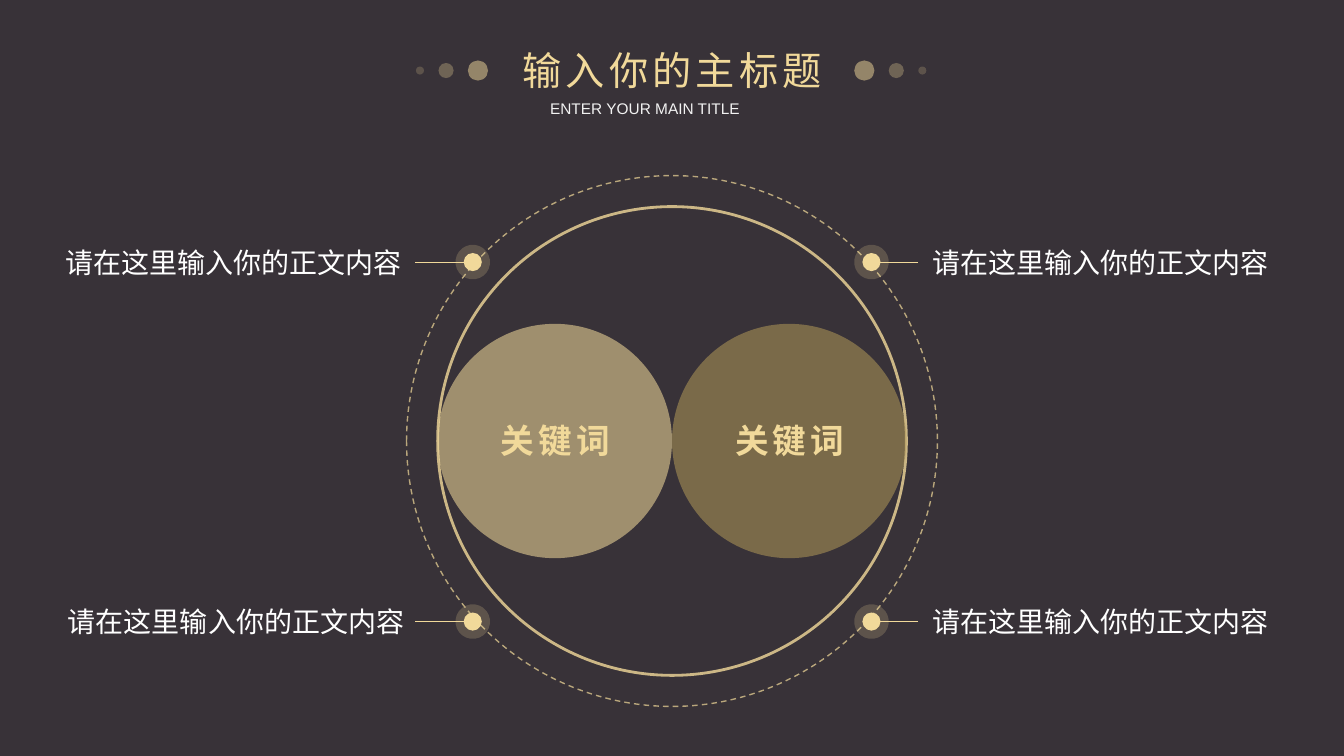
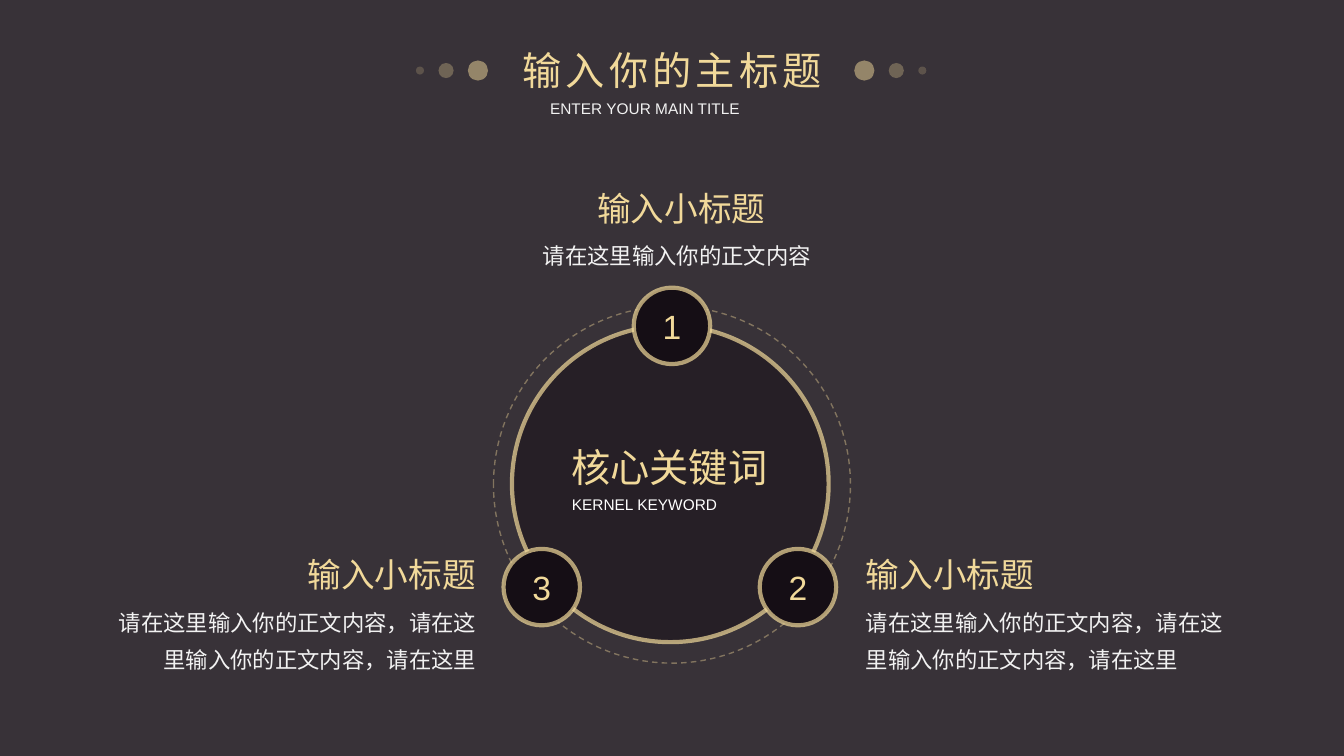
from dataclasses import dataclass

from lxml.etree import SubElement
from pptx import Presentation
from pptx.dml.color import RGBColor
from pptx.dml.fill import FillFormat
from pptx.enum.dml import MSO_LINE
from pptx.enum.shapes import MSO_CONNECTOR, MSO_SHAPE
from pptx.enum.text import MSO_ANCHOR, MSO_AUTO_SIZE, PP_ALIGN
from pptx.oxml.ns import qn
from pptx.shapes.autoshape import Shape
from pptx.slide import Slide
from pptx.text.text import TextFrame
from pptx.util import Emu, Inches, Pt

COLUMNS = 160  # square grid cells: 160 across, 90 down
WIDTH, HEIGHT = Inches(13.333), Inches(7.5)
MIDDLE = COLUMNS / 2

GOLD, BRONZE = "F1D99A", "AF9758"
INK, BACKDROP = "150E15", "383238"
WHITE, PALE = "FFFFFF", "F2F2F2"
CJK, LATIN = "Noto Sans CJK SC", "Arial"
BODY = "请在这里输入你的正文内容"


@dataclass(frozen=True)
class TextStyle:
    size: float
    colour: str = GOLD
    font: str = CJK
    bold: bool = False
    align: PP_ALIGN = PP_ALIGN.LEFT
    spacing: float = 0
    leading: float = 1.0
    shaded: bool = False


@dataclass(frozen=True)
class Stroke:
    width: float
    alpha: int = 100
    dashed: bool = False


@dataclass(frozen=True)
class Dot:
    offset: float
    size: float
    alpha: int


@dataclass(frozen=True)
class Callout:
    node: tuple[float, float]
    leader: tuple[float, float]
    text_left: float


@dataclass(frozen=True)
class Caption:
    align: PP_ALIGN
    head_left: float
    body_left: float
    row: float
    body: str
    lines: int


TITLE = TextStyle(28, align=PP_ALIGN.CENTER, spacing=3, shaded=True)
SUBTITLE = TextStyle(11, PALE, LATIN, align=PP_ALIGN.JUSTIFY)
DOTS = [Dot(23, 2.4, 50), Dot(26.8, 1.8, 30), Dot(29.9, 0.96, 20)]


def cells(n: float) -> Emu:
    return Emu(round(n * WIDTH / COLUMNS))


def paint(fill: FillFormat, colour: str, alpha: int = 100) -> None:
    fill.solid()
    fill.fore_color.rgb = RGBColor.from_string(colour)
    if alpha < 100:
        srgb = fill._xPr.find(qn("a:solidFill")).find(qn("a:srgbClr"))
        SubElement(srgb, qn("a:alpha")).set("val", str(alpha * 1000))


def shade(fill: FillFormat) -> None:
    """Fill from gold at the top to bronze at the bottom."""
    fill.gradient()
    fill.gradient_angle = 270
    for stop, colour in zip(fill.gradient_stops, (GOLD, BRONZE)):
        stop.color.rgb = RGBColor.from_string(colour)


def write(tf: TextFrame, text: str, style: TextStyle) -> None:
    p = tf.paragraphs[0]
    p.alignment, p.line_spacing = style.align, style.leading
    r = p.add_run()
    r.text = text
    if style.shaded:
        shade(r.font.fill)
    else:
        paint(r.font.fill, style.colour)
    formats = {"size": Pt(style.size), "name": style.font, "bold": style.bold}
    for name, value in formats.items():
        setattr(r.font, name, value)
    rPr = r.font._element
    SubElement(rPr, qn("a:ea")).set("typeface", style.font)
    if style.spacing:
        rPr.set("spc", str(round(style.spacing * 100)))


def add_text(s: Slide, box: tuple[float, float, float, float], text: str,
             style: TextStyle, wrap: bool = True) -> None:
    tf = s.shapes.add_textbox(*map(cells, box)).text_frame
    tf.word_wrap = wrap
    tf.auto_size = MSO_AUTO_SIZE.SHAPE_TO_FIT_TEXT
    write(tf, text, style)


def add_circle(s: Slide, col: float, row: float, size: float, fill: str | None = None,
               alpha: int = 100, stroke: Stroke | None = None) -> Shape:
    """Draw a circle around the grid point (col, row)."""
    box = (col - size / 2, row - size / 2, size, size)
    sp = s.shapes.add_shape(MSO_SHAPE.OVAL, *map(cells, box))
    sp.shadow.inherit = False
    if fill:
        paint(sp.fill, fill, alpha)
    else:
        sp.fill.background()
    if stroke:
        paint(sp.line.fill, GOLD, stroke.alpha)
        sp.line.width = Pt(stroke.width)
        if stroke.dashed:
            sp.line.dash_style = MSO_LINE.DASH
    else:
        sp.line.fill.background()
    return sp


def add_leader(s: Slide, start: float, end: float, row: float) -> None:
    line = s.shapes.add_connector(MSO_CONNECTOR.STRAIGHT, *map(cells, (start, row, end, row)))
    paint(line.line.fill, GOLD)
    line.line.width = Pt(0.5)
    SubElement(line._element.spPr, qn("a:effectLst"))


def add_header(s: Slide) -> None:
    add_text(s, (58.1, 4.9, 43.8, 6.8), "输入你的主标题", TITLE)
    add_text(s, (64.3, 11.2, 31.4, 3.5), "ENTER YOUR MAIN TITLE", SUBTITLE)
    for side in (-1, 1):
        for dot in DOTS:
            add_circle(s, MIDDLE - 0.1 + side * dot.offset, 8.4, dot.size, GOLD, dot.alpha)


def build_keywords(s: Slide) -> None:
    centre, ring = 52.5, 55.8
    add_circle(s, MIDDLE, centre, ring, stroke=Stroke(2, 80))
    keyword = TextStyle(24, bold=True, align=PP_ALIGN.CENTER, spacing=3, shaded=True)
    for side, colour in ((-1, GOLD), (1, BRONZE)):
        col = MIDDLE + side * ring / 4
        add_circle(s, col, centre, ring / 2, colour, 56)
        add_text(s, (col - 10.8, 49.4, 21.7, 6), "关键词", keyword)
    add_circle(s, MIDDLE, centre, 63.2, stroke=Stroke(1, 70, dashed=True))

    left, right, top, bottom = 56.28, 103.75, 31.2, 74
    callouts = [
        Callout((left, top), (55.2, 49.4), 6.6),
        Callout((right, top), (109.3, 103.4), 109.8),
        Callout((left, bottom), (55.2, 49.4), 6.9),
        Callout((right, bottom), (109.3, 103.4), 109.8),
    ]
    for c in callouts:
        row = c.node[1]
        add_circle(s, *c.node, 2.16, GOLD, stroke=Stroke(12, 20))
        add_leader(s, *c.leader, row)
        add_text(s, (c.text_left, row - 2.6, 42.9, 5.3), BODY, TextStyle(20, WHITE), wrap=False)
    add_header(s)


def build_cycle(s: Slide) -> None:
    centre, border = 57.7, Stroke(3, 70)
    add_circle(s, MIDDLE, centre, 42.5, stroke=Stroke(1, 40, dashed=True))
    add_circle(s, MIDDLE - 0.2, centre - 0.1, 37.7, INK, 50, border)
    badges = [(MIDDLE, 38.8), (MIDDLE + 15, 69.9), (MIDDLE - 15.5, 69.9)]
    for number, (col, row) in enumerate(badges, 1):
        sp = add_circle(s, col, row, 9.1, INK, stroke=border)
        sp.text_frame.vertical_anchor = MSO_ANCHOR.MIDDLE
        write(sp.text_frame, str(number), TextStyle(24, font=LATIN, align=PP_ALIGN.CENTER))
    add_header(s)

    long_body = f"{BODY}，{BODY}，请在这里"
    captions = [
        Caption(PP_ALIGN.LEFT, 101.9, 101.9, 65.4, long_body, 2),
        Caption(PP_ALIGN.RIGHT, 34.4, 11.9, 65.4, long_body, 2),
        Caption(PP_ALIGN.CENTER, 69.4, 57.6, 21.8, BODY, 1),
    ]
    for c in captions:
        add_text(s, (c.head_left, c.row, 23.4, 6), "输入小标题",
                 TextStyle(24, align=c.align, shaded=True))
        add_text(s, (c.body_left, c.row + 5.2, 46, 0.8 + 4.5 * c.lines), c.body,
                 TextStyle(16, PALE, align=c.align, leading=1.4))
    add_text(s, (64.1, 52.2, 31.2, 6.8), "核心关键词",
             TextStyle(28, align=PP_ALIGN.CENTER, shaded=True))
    add_text(s, (66.9, 58.4, 25.6, 3.5), "KERNEL KEYWORD",
             TextStyle(11, WHITE, LATIN, align=PP_ALIGN.JUSTIFY))


def main() -> None:
    prs = Presentation()
    prs.slide_width, prs.slide_height = WIDTH, HEIGHT
    paint(prs.slide_master.background.fill, BACKDROP)
    for build in (build_keywords, build_cycle):
        build(prs.slides.add_slide(prs.slide_layouts[6]))
    prs.save("out.pptx")


if __name__ == "__main__":
    main()
